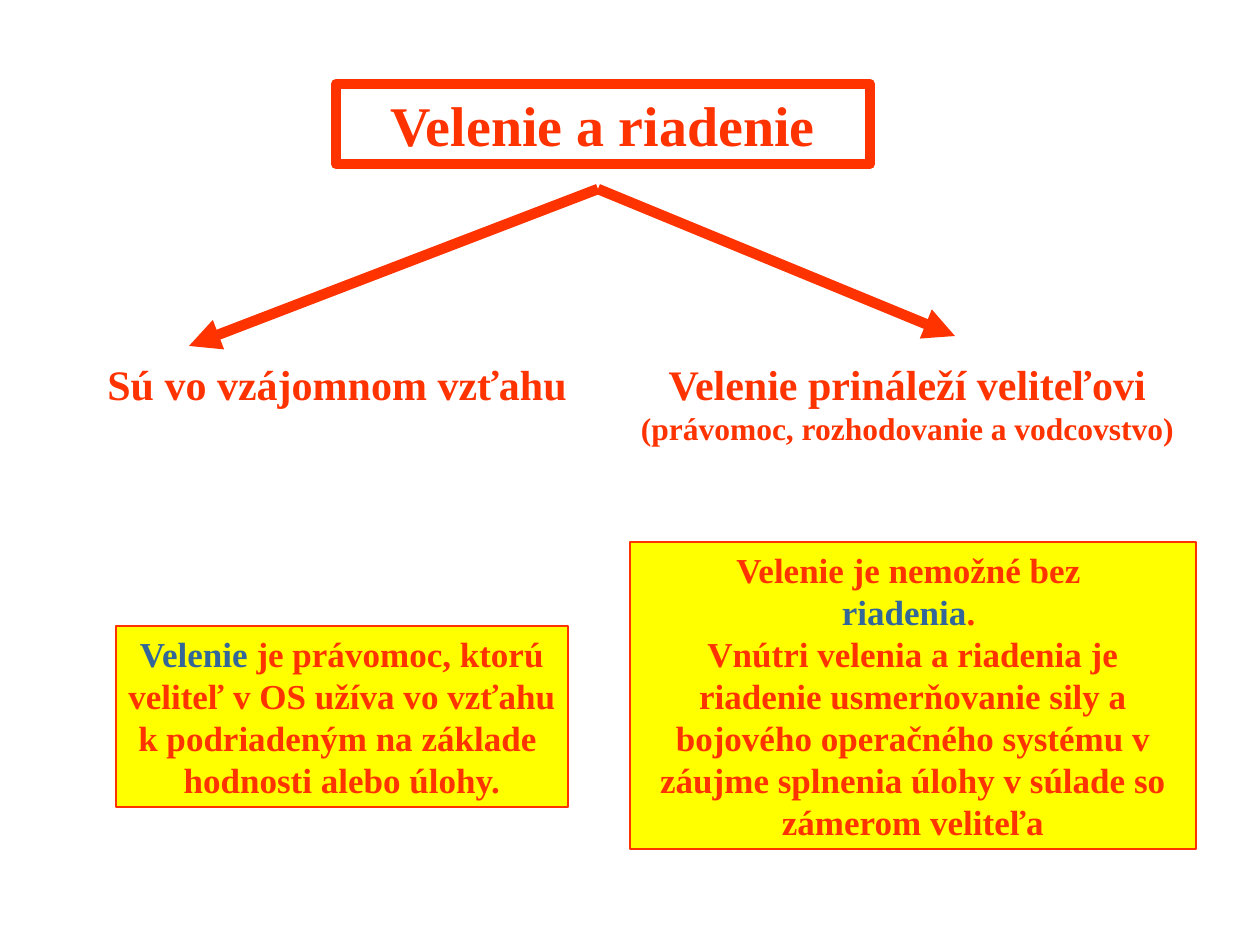
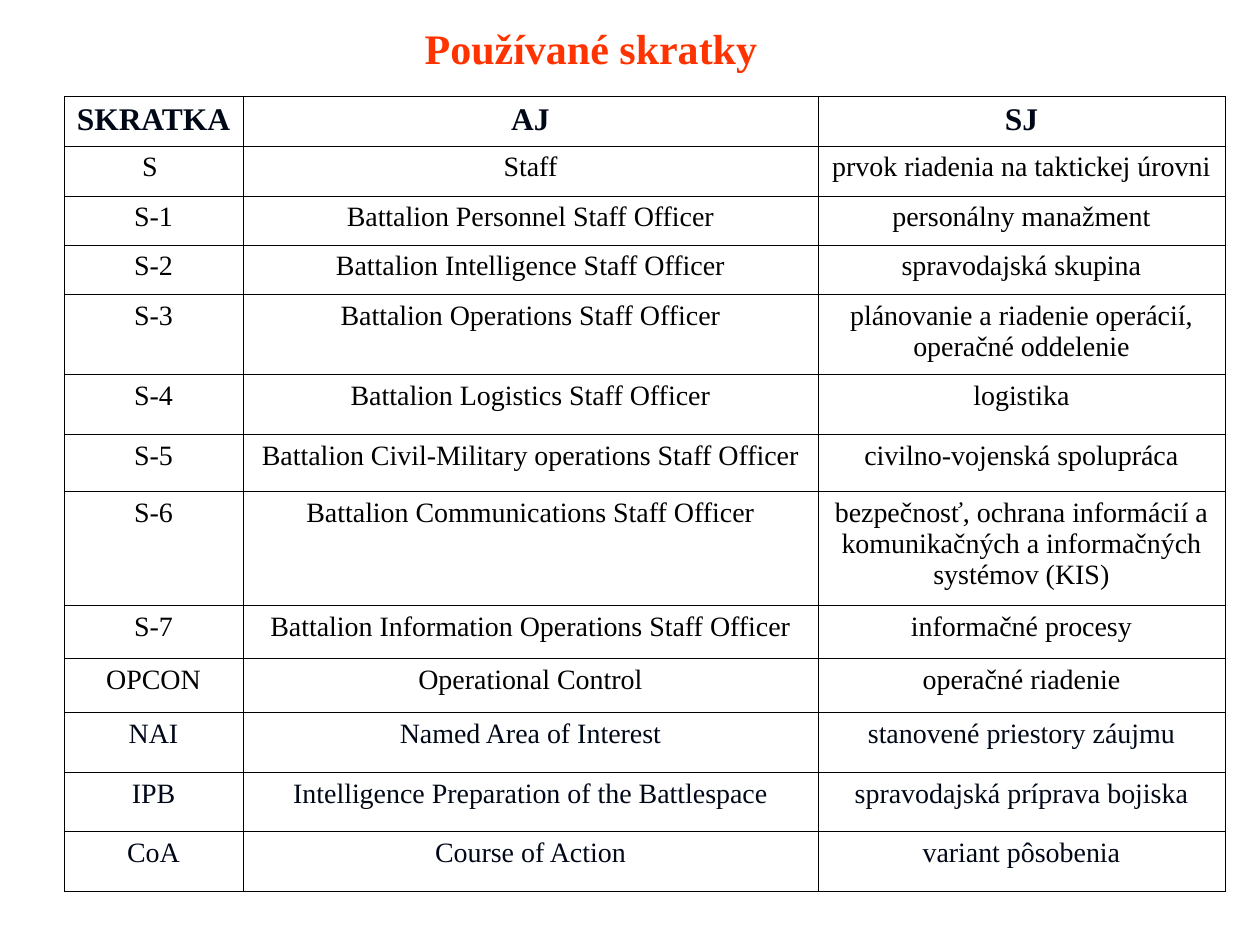
"""Builds two slides on command and control: a concept diagram and a table of abbreviations."""
import pptx
import pptx.dml.color
import pptx.enum.shapes
import pptx.enum.text
import pptx.oxml
import pptx.oxml.ns
import pptx.util

COLORS = {"red": "FF3300", "blue": "336699", "yellow": "FFFF00",
          "black": "000000", "ink": "000818"}
FONT = "Times New Roman"
EMU_PER_PX = 914400 / 126
TITLE_ONLY = 5
CENTER = pptx.enum.text.PP_ALIGN.CENTER
LEFT = pptx.enum.text.PP_ALIGN.LEFT


def px(*lengths):
    return [pptx.util.Emu(round(length * EMU_PER_PX)) for length in lengths]


def rgb(color):
    return pptx.dml.color.RGBColor.from_string(COLORS[color])


def set_attributes(target, values):
    for name, value in values.items():
        setattr(target, name, value)


def xml(markup):
    return pptx.oxml.parse_xml(markup.replace(">", f' {pptx.oxml.ns.nsdecls("a")}>', 1))


class Deck:
    """Holds the presentation, its style and the current slide."""

    def __init__(self):
        self.presentation = pptx.Presentation()
        set_attributes(self.presentation, {
            "slide_width": pptx.util.Inches(10), "slide_height": pptx.util.Inches(7.5)})
        self.slide = None

    def add_slide(self, title, box, size):
        layout = self.presentation.slide_layouts[TITLE_ONLY]
        self.slide = self.presentation.slides.add_slide(layout)
        shape = self.slide.shapes.title
        set_attributes(shape, dict(zip(("left", "top", "width", "height"), px(*box))))
        self.fill_frame(shape.text_frame, [[(title, {})]], size)
        return shape

    def fill_frame(self, frame, paragraphs, size, align=CENTER, wrap=True):
        set_attributes(frame, {
            "word_wrap": wrap, "auto_size": pptx.enum.text.MSO_AUTO_SIZE.NONE,
            "vertical_anchor": pptx.enum.text.MSO_ANCHOR.TOP})
        for index, runs in enumerate(paragraphs):
            paragraph = frame.add_paragraph() if index else frame.paragraphs[0]
            self.fill_paragraph(paragraph, runs, size, align)

    def fill_paragraph(self, paragraph, runs, size, align=CENTER, color="red", bold=True):
        paragraph.alignment = align
        for text, changes in runs:
            run = paragraph.add_run()
            run.text = text
            style = {"size": size, "color": color, **changes}
            set_attributes(run.font, {
                "name": FONT, "size": pptx.util.Pt(style["size"]), "bold": bold})
            run.font.color.rgb = rgb(style["color"])

    def outline(self, shape, width):
        shape.line.color.rgb = rgb("red")
        shape.line.width = pptx.util.Pt(width)

    def add_text(self, box, paragraphs, size, **options):
        shape = self.slide.shapes.add_textbox(*px(*box))
        self.fill_frame(shape.text_frame, paragraphs, size, **options)

    def add_panel(self, box, paragraphs, size, **options):
        shape = self.slide.shapes.add_shape(
            pptx.enum.shapes.MSO_SHAPE.RECTANGLE, *px(*box))
        shape.shadow.inherit = False
        shape.fill.solid()
        shape.fill.fore_color.rgb = rgb("yellow")
        self.outline(shape, 0.75)
        self.fill_frame(shape.text_frame, paragraphs, size, **options)

    def add_arrow(self, start, end):
        connector = self.slide.shapes.add_connector(
            pptx.enum.shapes.MSO_CONNECTOR.STRAIGHT, *px(*start, *end))
        self.outline(connector, 6)
        connector.line._get_or_add_ln().append(xml('<a:tailEnd type="triangle"></a:tailEnd>'))
        connector._element.spPr.append(xml("<a:effectLst></a:effectLst>"))

    def add_table(self, corner, widths, heights, rows, ink_rows):
        frame = self.slide.shapes.add_table(
            len(rows), len(widths), *px(*corner, sum(widths), sum(heights)))
        table = frame.table
        set_attributes(table, {"first_row": False, "horz_banding": False})
        for column, width in zip(table.columns, px(*widths)):
            column.width = width
        for row, height in zip(table.rows, px(*heights)):
            row.height = height
        for row_index, texts in enumerate(rows):
            header = row_index == 0
            color = "ink" if row_index in ink_rows else "black"
            for column_index, text in enumerate(texts):
                cell = table.cell(row_index, column_index)
                self.format_cell(cell)
                self.fill_paragraph(cell.text_frame.paragraphs[0], [(text, {})],
                                    18 if header else 16, color=color, bold=header)

    def format_cell(self, cell):
        side, edge = px(3, 6)
        set_attributes(cell, {"margin_left": side, "margin_right": side,
                              "margin_top": edge, "margin_bottom": edge})
        properties = cell._tc.get_or_add_tcPr()
        for border in ("lnL", "lnR", "lnT", "lnB"):
            properties.append(xml(
                f'<a:{border} w="{pptx.util.Pt(0.45)}"><a:solidFill>'
                f'<a:srgbClr val="{COLORS["black"]}"/></a:solidFill></a:{border}>'))
        cell.fill.background()


def build_diagram(deck):
    title = deck.add_slide("Velenie a riadenie", (336, 84, 534, 80), 32)
    deck.outline(title, 6)
    fork = (598, 189)
    for tip in ((189, 346), (955, 336)):
        deck.add_arrow(fork, tip)
    deck.add_text((95, 352, 484, 63), [[("Sú vo vzájomnom vzťahu", {})]], 24,
                  align=LEFT, wrap=False)
    deck.add_text((600, 352, 615, 101), [
        [("Velenie prináleží veliteľovi", {})],
        [("(právomoc, rozhodovanie a vodcovstvo)", {"size": 18})]], 24)
    deck.add_panel((116, 626, 452, 181), [
        [("Velenie", {"color": "blue"}), (" je právomoc, ktorú", {})],
        [("veliteľ v OS užíva vo vzťahu", {})],
        [("k podriadeným na základe ", {})],
        [("hodnosti alebo úlohy.", {})]], 20, wrap=False)
    deck.add_panel((630, 542, 566, 307), [
        [("Velenie je nemožné bez ", {})],
        [("riadenia", {"color": "blue"}), (". ", {})],
        [("Vnútri velenia a riadenia je riadenie usmerňovanie sily a bojového "
          "operačného systému v záujme splnenia úlohy v súlade so", {})],
        [("zámerom veliteľa", {})]], 20)


def build_abbreviations(deck):
    deck.add_slide("Používané skratky", (353, 16, 476, 63), 24)
    rows = [
        ("SKRATKA", "AJ", "SJ"),
        ("S ", "Staff", "prvok riadenia na taktickej úrovni"),
        ("S-1", "Battalion Personnel Staff Officer", "personálny manažment"),
        ("S-2", "Battalion Intelligence Staff Officer", "spravodajská skupina"),
        ("S-3", "Battalion Operations Staff Officer",
         "plánovanie a riadenie operácií, operačné oddelenie"),
        ("S-4", "Battalion Logistics Staff Officer", "logistika"),
        ("S-5", "Battalion Civil-Military operations Staff Officer",
         "civilno-vojenská spolupráca"),
        ("S-6", "Battalion Communications Staff Officer",
         "bezpečnosť, ochrana informácií a komunikačných a informačných systémov (KIS)"),
        ("S-7", "Battalion Information Operations Staff Officer", "informačné procesy"),
        ("OPCON", "Operational Control", "operačné riadenie"),
        ("NAI", "Named Area of Interest", "stanovené priestory záujmu"),
        ("IPB", "Intelligence Preparation of the Battlespace",
         "spravodajská príprava bojiska"),
        ("CoA", "Course of Action", "variant pôsobenia"),
    ]
    heights = [50, 50, 49, 50, 80, 60, 57, 114, 53, 54, 60, 59, 60]
    deck.add_table((64, 96), (179, 575, 407), heights, rows, ink_rows=(0, 10, 11, 12))


def main():
    deck = Deck()
    build_diagram(deck)
    build_abbreviations(deck)
    deck.presentation.save("out.pptx")


if __name__ == "__main__":
    main()
